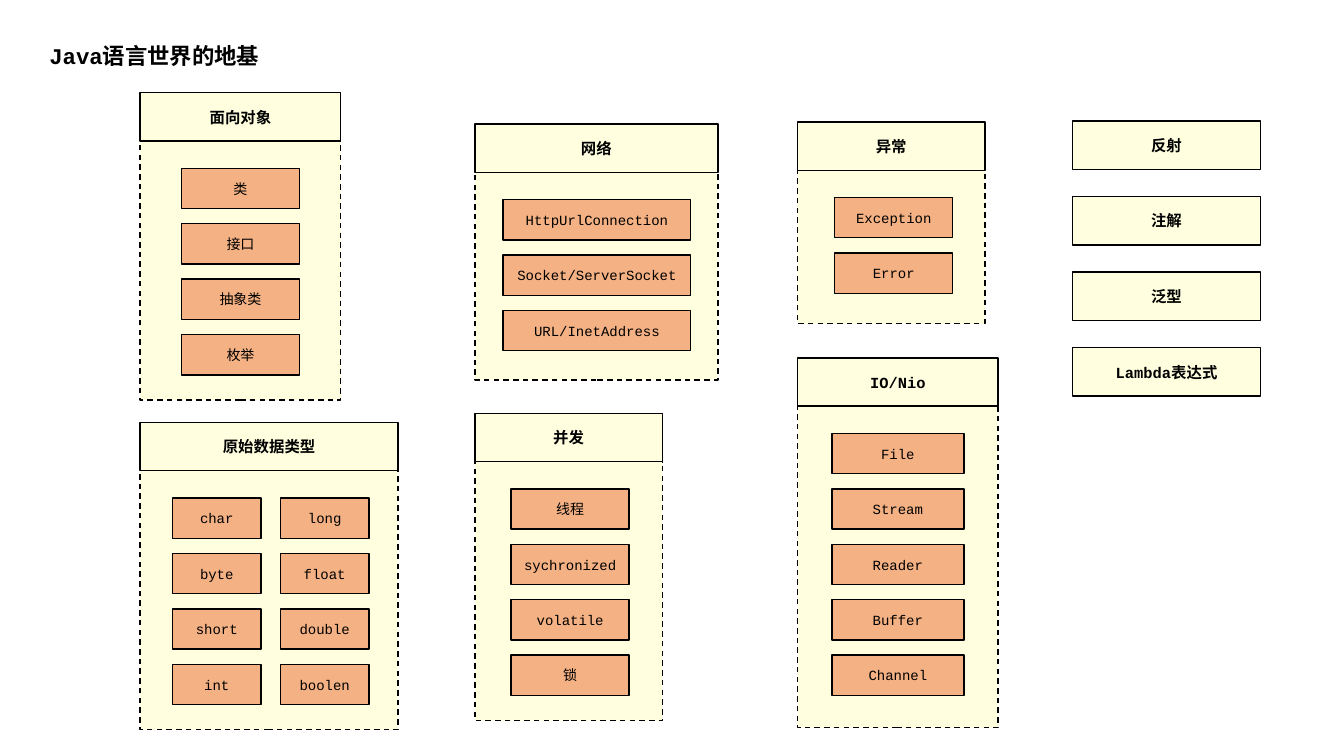
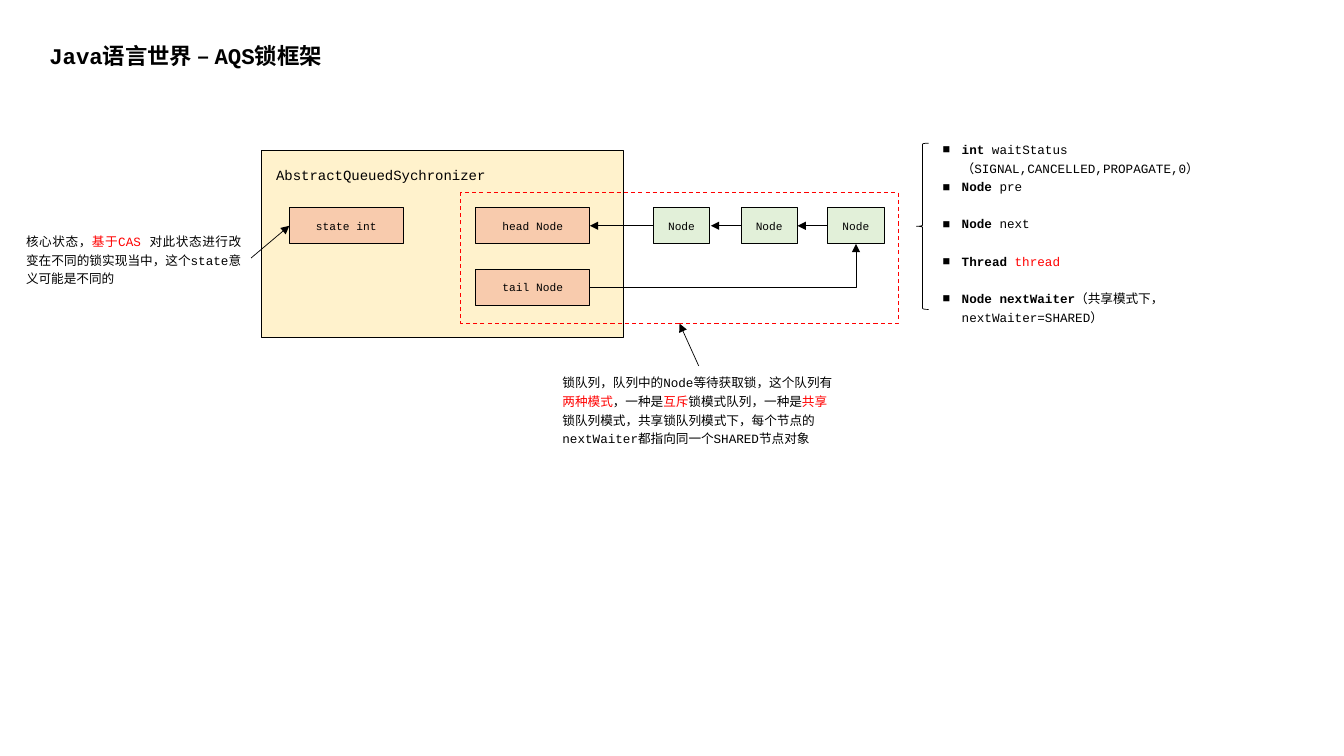
from lxml import etree
from pptx import Presentation
from pptx.dml.color import RGBColor
from pptx.enum.dml import MSO_LINE
from pptx.enum.shapes import MSO_CONNECTOR, MSO_SHAPE
from pptx.enum.text import MSO_ANCHOR, MSO_AUTO_SIZE, PP_ALIGN
from pptx.oxml.ns import qn
from pptx.util import Pt

RECT, BRACE = MSO_SHAPE.RECTANGLE, MSO_SHAPE.LEFT_BRACE
STRAIGHT, ELBOW = MSO_CONNECTOR.STRAIGHT, MSO_CONNECTOR.ELBOW
LEFT, CENTER, JUSTIFY = PP_ALIGN.LEFT, PP_ALIGN.CENTER, PP_ALIGN.JUSTIFY
DASH = MSO_LINE.DASH
MIDDLE = MSO_ANCHOR.MIDDLE
GROW = MSO_AUTO_SIZE.SHAPE_TO_FIT_TEXT

PX = 9144
FONT = "Courier New"
BLACK, RED = "000000", "FF0000"
CREAM, ORANGE = "FFFFE0", "F4B183"
SAND, PEACH, GREEN = "FFF2CC", "F8CBAD", "E2F0D9"
HEAD_H, ITEM_H, ITEM_TOP, ITEM_STEP = 48, 40, 75, 55

rgb = RGBColor.from_string


def box(s, rect, fill, text="", size=10, bold=False, line=BLACK, weight=1, dash=None, kind=RECT):
    sp = s.shapes.add_shape(kind, *[v * PX for v in rect])
    sp.shadow.inherit = False
    if fill:
        sp.fill.solid()
        sp.fill.fore_color.rgb = rgb(fill)
    else:
        sp.fill.background()
    sp.line.color.rgb = rgb(line)
    sp.line.width = Pt(weight)
    if dash:
        sp.line.dash_style = dash
    if text:
        sp.text_frame.vertical_anchor = MIDDLE
        write(sp.text_frame, [(text, BLACK, bold)], size, CENTER)


def write(tf, runs, size, align=LEFT, spacing=None):
    tf.word_wrap = True
    p = tf.paragraphs[0]
    p.alignment = align
    p.line_spacing = spacing
    for text, color, bold in runs:
        r = p.add_run()
        r.text = text
        r.font.name = FONT
        r.font.size = Pt(size)
        r.font.bold = bold
        r.font.color.rgb = rgb(color)
    return p


prs = Presentation()
prs.slide_width, prs.slide_height = 1333 * PX, 750 * PX
blank = prs.slide_layouts[6]

slides = []
for title, width in [("Java语言世界的地基", 278), ("Java语言世界 – AQS锁框架", 488)]:
    s = prs.slides.add_slide(blank)
    tf = s.shapes.add_textbox(39 * PX, 37 * PX, width * PX, 37 * PX).text_frame
    tf.auto_size = GROW
    write(tf, [(title, BLACK, True)], 16, JUSTIFY)
    slides.append(s)
basics, aqs = slides

cards = [
    ("原始数据类型", 139, 419, 256, 257, 88, [
        (171, ["char", "byte", "short", "int"]),
        (278, ["long", "float", "double", "boolen"])]),
    ("并发", 471, 410, 186, 257, 117, [(507, ["线程", "sychronized", "volatile", "锁"])]),
    ("异常", 791, 121, 186, 152, 117, [(828, ["Exception", "Error"])]),
    ("网络", 471, 123, 241, 206, 186, [
        (499, ["HttpUrlConnection", "Socket/ServerSocket", "URL/InetAddress"])]),
    ("IO/Nio", 791, 355, 199, 319, 131, [
        (825, ["File", "Stream", "Reader", "Buffer", "Channel"])]),
    ("面向对象", 139, 92, 199, 257, 117, [(180, ["类", "接口", "抽象类", "枚举"])]),
]
for head, x, y, w, body_h, item_w, columns in cards:
    box(basics, (x, y + HEAD_H, w, body_h), CREAM, dash=DASH)
    box(basics, (x, y, w, HEAD_H), CREAM, head, 11, True)
    for item_x, items in columns:
        for i, item in enumerate(items):
            box(basics, (item_x, y + ITEM_TOP + i * ITEM_STEP, item_w, ITEM_H), ORANGE, item)

for i, topic in enumerate(["反射", "注解", "泛型", "Lambda表达式"]):
    box(basics, (1064, 120 + i * 75, 186, HEAD_H), CREAM, topic, 11, True)

box(aqs, (259, 149, 359, 186), SAND, weight=0.75)
for label, x, y in [("head Node", 472, 206), ("tail Node", 472, 267), ("state int", 287, 206)]:
    box(aqs, (x, y, 113, 36), PEACH, label, 8, weight=0.75)
for x in (648, 735, 821):
    box(aqs, (x, 206, 56, 36), GREEN, "Node", 8, weight=0.75)
box(aqs, (909, 142, 12, 165), None, weight=0.5, kind=BRACE)

arrows = [
    (STRAIGHT, 648, 224, 585, 224),
    (STRAIGHT, 735, 224, 705, 224),
    (STRAIGHT, 821, 224, 791, 224),
    (ELBOW, 585, 285, 849, 242),
    (STRAIGHT, 249, 256, 287, 224),
    (STRAIGHT, 693, 363, 674, 321),
]
for kind, *ends in arrows:
    c = aqs.shapes.add_connector(kind, *[v * PX for v in ends])
    c.line.color.rgb = rgb(BLACK)
    c.line.width = Pt(0.5)
    spPr = c._element.spPr
    if kind == ELBOW:
        spPr.find(qn("a:prstGeom")).set("prst", "bentConnector2")
    etree.SubElement(spPr.find(qn("a:ln")), qn("a:tailEnd"), type="triangle")
    etree.SubElement(spPr, qn("a:effectLst"))

notes = [
    (264, 156, 240, 29, 10, LEFT, [("AbstractQueuedSychronizer", BLACK)]),
    (16, 223, 233, 65, 9, JUSTIFY, [
        ("核心状态，", BLACK),
        ("基于CAS ", RED),
        ("对此状态进行改变在不同的锁实现当中，这个state意义可能是不同的", BLACK)]),
    (548, 363, 291, 84, 9, LEFT, [
        ("锁队列，队列中的Node等待获取锁，这个队列有", BLACK),
        ("两种模式", RED),
        ("，一种是", BLACK),
        ("互斥", RED),
        ("锁模式队列，一种是", BLACK),
        ("共享", RED),
        ("锁队列模式，共享锁队列模式下，每个节点的nextWaiter都指向同一个SHARED节点对象", BLACK)]),
]
for x, y, w, h, size, align, parts in notes:
    tf = aqs.shapes.add_textbox(x * PX, y * PX, w * PX, h * PX).text_frame
    tf.auto_size = GROW
    write(tf, [(text, color, False) for text, color in parts], size, align, 1.25)

fields = [
    ("int ", "waitStatus（SIGNAL,CANCELLED,PROPAGATE,0）", BLACK, 378),
    ("Node ", "pre", BLACK, 149),
    ("Node ", "next", BLACK, 149),
    ("Thread ", "thread", RED, 149),
    ("Node nextWaiter", "（共享模式下，nextWaiter=SHARED）", BLACK, 378),
]
for i, (kind, name, color, w) in enumerate(fields):
    tf = aqs.shapes.add_textbox(925 * PX, (132 + i * 37) * PX, w * PX, 27 * PX).text_frame
    tf.auto_size = GROW
    p = write(tf, [(kind, BLACK, True), (name, color, False)], 9, LEFT, 1.25)
    pPr = p._p.get_or_add_pPr()
    pPr.set("marL", str(19 * PX))
    pPr.set("indent", str(-19 * PX))
    etree.SubElement(pPr, qn("a:buFont"), typeface="Arial")
    etree.SubElement(pPr, qn("a:buChar"), char="■")

box(aqs, (457, 191, 434, 130), None, line=RED, weight=0.75, dash=DASH)

prs.save("out.pptx")
